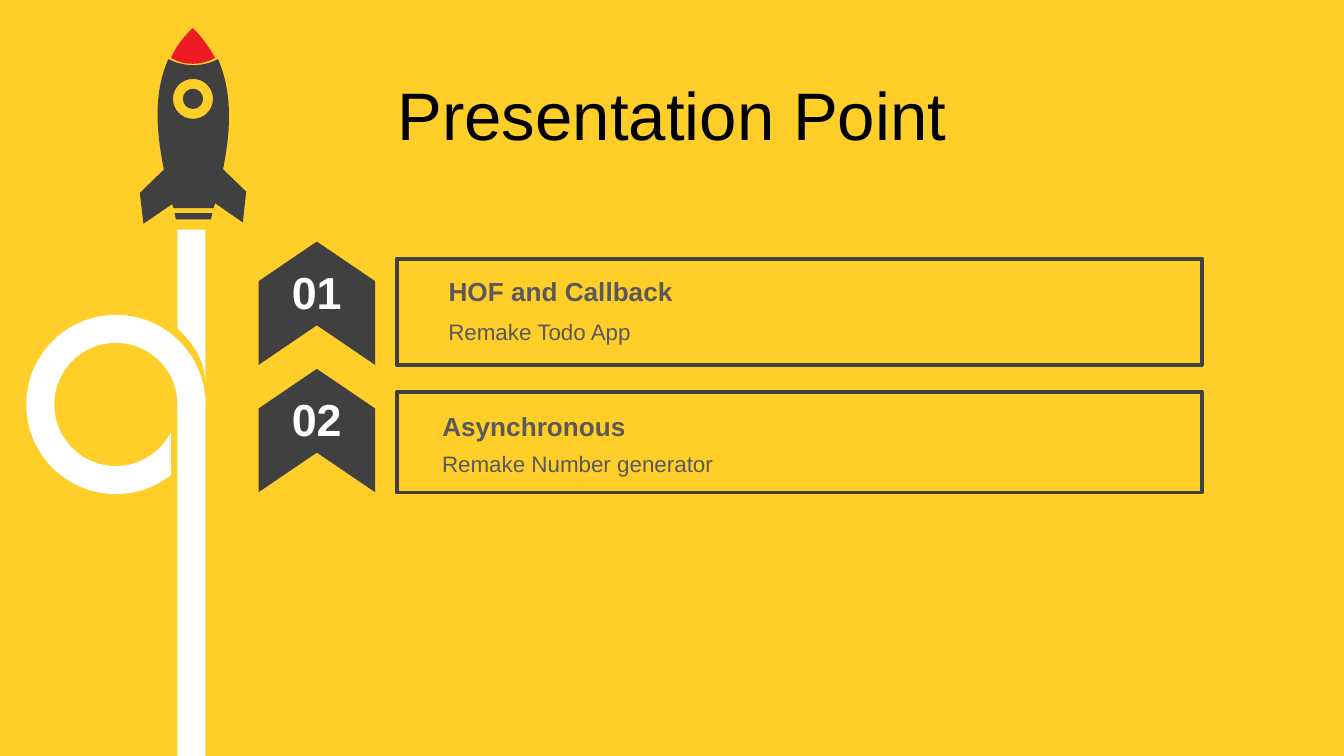
from dataclasses import dataclass
from itertools import pairwise
from math import cos, radians, sin, tan

from lxml.etree import SubElement
from pptx import Presentation
from pptx.dml.color import RGBColor
from pptx.enum.shapes import MSO_SHAPE as Preset
from pptx.enum.text import MSO_ANCHOR as Anchor, MSO_AUTO_SIZE as AutoSize, PP_ALIGN as Align
from pptx.oxml.ns import qn
from pptx.util import Pt

Point = tuple[float, float]
Segment = tuple[Point, ...]  # one point: a line; three points: a Bezier curve


@dataclass(frozen=True)
class Theme:
    yellow: RGBColor = RGBColor(0xFF, 0xCE, 0x29)
    dark: RGBColor = RGBColor(0x40, 0x40, 0x40)
    gray: RGBColor = RGBColor(0x59, 0x59, 0x59)
    white: RGBColor = RGBColor(0xFF, 0xFF, 0xFF)
    black: RGBColor = RGBColor(0, 0, 0)
    red: RGBColor = RGBColor(0xED, 0x1C, 0x24)
    font: str = "Arial"
    title_size: int = 36
    number_size: int = 24
    heading_size: int = 14
    detail_size: int = 12


@dataclass(frozen=True)
class Frame:
    left: float
    top: float
    width: float
    height: float

    def lengths(self) -> tuple:
        return Pt(self.left), Pt(self.top), Pt(self.width), Pt(self.height)


@dataclass(frozen=True)
class Contour:
    start: Point
    segments: list[Segment]


@dataclass(frozen=True)
class Topic:
    number: str
    heading: str
    detail: str
    box: Frame
    text_left: float
    heading_top: float
    detail_top: float


THEME = Theme()
CHEVRON_TOP, CHEVRON_STEP = 131.2, 68.2
TOPICS = [
    Topic("01", "HOF and Callback", "Remake Todo App",
          Frame(212.6, 138.6, 431.4, 56.9), 232, 142.7, 165.6),
    Topic("02", "Asynchronous", "Remake Number generator",
          Frame(212.6, 210.1, 431.4, 53.8), 228.6, 215.3, 236.5),
]


def lines(*points: Point) -> list[Segment]:
    return [(point,) for point in points]


def on_circle(center: Point, radius: float, angle: float) -> Point:
    return center[0] + radius * cos(radians(angle)), center[1] + radius * sin(radians(angle))


def arc(center: Point, radius: float, *angles: float) -> list[Segment]:
    """Bezier arcs between the given angles, clockwise from the right."""
    segments = []
    for first, last in pairwise(angles):
        handle = 4 / 3 * tan(radians(last - first) / 4) * radius
        (x1, y1), (x2, y2) = (on_circle(center, radius, a) for a in (first, last))
        a, b = radians(first), radians(last)
        segments.append(((x1 - handle * sin(a), y1 + handle * cos(a)),
                         (x2 + handle * sin(b), y2 - handle * cos(b)), (x2, y2)))
    return segments


def circle(center: Point, radius: float) -> Contour:
    return Contour(on_circle(center, radius, 0), arc(center, radius, 0, 90, 180, 270, 360))


def polygon(start: Point, *points: Point) -> Contour:
    return Contour(start, lines(*points))


def paint(shape, fill: RGBColor | None = None, line: RGBColor | None = None) -> None:
    shape.shadow.inherit = False
    if fill is None:
        shape.fill.background()
    else:
        shape.fill.solid()
        shape.fill.fore_color.rgb = fill
    if line is None:
        shape.line.fill.background()
    else:
        shape.line.color.rgb = line
        shape.line.width = Pt(2)


def add_outline(shapes, contours: list[Contour], fill: RGBColor) -> None:
    first = contours[0].start
    builder = shapes.build_freeform(Pt(first[0]), Pt(first[1]), scale=1.0)
    for index, contour in enumerate(contours):
        if index:
            builder.move_to(Pt(contour.start[0]), Pt(contour.start[1]))
        ends = [segment[-1] for segment in contour.segments]
        builder.add_line_segments([(Pt(x), Pt(y)) for x, y in ends], close=True)
    shape = builder.convert_to_shape()
    paint(shape, fill)
    # Bend the segments that have control points
    segments = [segment for contour in contours for segment in contour.segments]
    for node, segment in zip(list(shape.element.iter(qn("a:lnTo"))), segments):
        if len(segment) == 3:
            node.tag = qn("a:cubicBezTo")
            for position, (x, y) in enumerate(segment[:2]):
                control = SubElement(node, qn("a:pt"), x=str(Pt(x) - shape.left),
                                     y=str(Pt(y) - shape.top))
                node.insert(position, control)


def add_preset(shapes, preset: Preset, frame: Frame, fill: RGBColor | None = None,
               line: RGBColor | None = None):
    shape = shapes.add_shape(preset, *frame.lengths())
    paint(shape, fill, line)
    return shape


def write(shape, text: str, *, size: int, color: RGBColor, bold: bool = False,
          align: Align = Align.LEFT, anchor: Anchor = Anchor.MIDDLE) -> None:
    text_frame = shape.text_frame
    text_frame.word_wrap = True
    text_frame.auto_size = AutoSize.NONE
    text_frame.vertical_anchor = anchor
    paragraph = text_frame.paragraphs[0]
    paragraph.alignment = align
    run = paragraph.add_run()
    run.text = text
    run.font.name = THEME.font
    run.font.size = Pt(size)
    run.font.bold = bold
    run.font.color.rgb = color


def draw_trail(shapes) -> None:
    center = (62.1, 216.7)
    loop = arc(center, 48, 52, 90, 180, 270, 360)
    loop += lines(on_circle(center, 33, 0)) + arc(center, 33, 360, 270, 180, 90, 27)
    add_outline(shapes, [Contour(on_circle(center, 48, 52), loop)], THEME.white)
    upper = lines((110, 123), (110, 204.5)) + [((109.4, 192.2), (103.7, 184.3), (95, 175.7))]
    add_outline(shapes, [Contour((95, 123), upper)], THEME.white)
    add_preset(shapes, Preset.RECTANGLE, Frame(95, 213, 15, 192), THEME.white)


def draw_rocket(shapes) -> None:
    porthole = (103.4, 53)
    body = [((98.6, 36), (108.7, 36), (116.8, 31.7)),
            ((125.3, 51.1), (123.1, 72.7), (119.5, 90.7))]
    body += lines((131.9, 102.7), (130.1, 119.2), (115.2, 108.9), (114.5, 111.5),
                  (92.9, 111.5), (92.2, 109.4), (76.9, 119.9), (74.9, 103.4), (87.8, 90.9))
    body += [((84.2, 72.7), (81.6, 51.1), (90.2, 31.7))]
    nozzle = polygon((93.5, 114.2), (113.8, 114.2), (113, 117.6), (94.3, 117.6))
    add_outline(shapes, [Contour((90.2, 31.7), body), circle(porthole, 10.7),
                         circle(porthole, 5.4), nozzle], THEME.dark)
    # Nose cone
    nose = [((108.7, 20.2), (112.3, 25.9), (115.3, 31)),
            ((111.7, 33.2), (107.6, 34.2), (103.4, 34.2)),
            ((99.2, 34.2), (95.1, 33.2), (91.6, 31)),
            ((94.3, 25.2), (97.9, 20.2), (103.3, 15))]
    add_outline(shapes, [Contour((103.3, 15), nose)], THEME.red)


def draw_topic(shapes, topic: Topic, index: int) -> None:
    add_preset(shapes, Preset.RECTANGLE, topic.box, line=THEME.dark)
    # Heading and detail
    group = shapes.add_group_shape()
    labels = [
        (topic.heading, topic.heading_top, 25.2, THEME.heading_size, True),
        (topic.detail, topic.detail_top, 23, THEME.detail_size, False),
    ]
    for text, top, height, size, bold in labels:
        frame = Frame(topic.text_left, top, 396.7, height)
        label = add_preset(group.shapes, Preset.ROUND_2_SAME_RECTANGLE, frame)
        write(label, text, size=size, color=THEME.gray, bold=bold)
    # Numbered chevron, pointing up
    top = CHEVRON_TOP + index * CHEVRON_STEP
    chevron = add_preset(shapes, Preset.CHEVRON, Frame(136.7, top, 66.1, 62.5), THEME.dark)
    chevron.adjustments[0] = 0.34
    chevron.rotation = 270
    number = shapes.add_textbox(*Frame(147.7, top + 7.1, 44, 36.3).lengths())
    write(number, topic.number, size=THEME.number_size, color=THEME.white, bold=True,
          align=Align.CENTER, anchor=Anchor.TOP)


def main() -> None:
    presentation = Presentation()
    presentation.slide_width, presentation.slide_height = Pt(720), Pt(405)
    slide = presentation.slides.add_slide(presentation.slide_layouts[5])
    slide.background.fill.solid()
    slide.background.fill.fore_color.rgb = THEME.yellow
    # Title
    title = slide.shapes.title
    title.left, title.top, title.width, title.height = Frame(0, 38.2, 720, 45.4).lengths()
    write(title, "Presentation Point", size=THEME.title_size, color=THEME.black,
          align=Align.CENTER)
    # Illustration and topics
    draw_trail(slide.shapes)
    draw_rocket(slide.shapes)
    for index, topic in enumerate(TOPICS):
        draw_topic(slide.shapes, topic, index)
    presentation.save("out.pptx")


if __name__ == "__main__":
    main()
